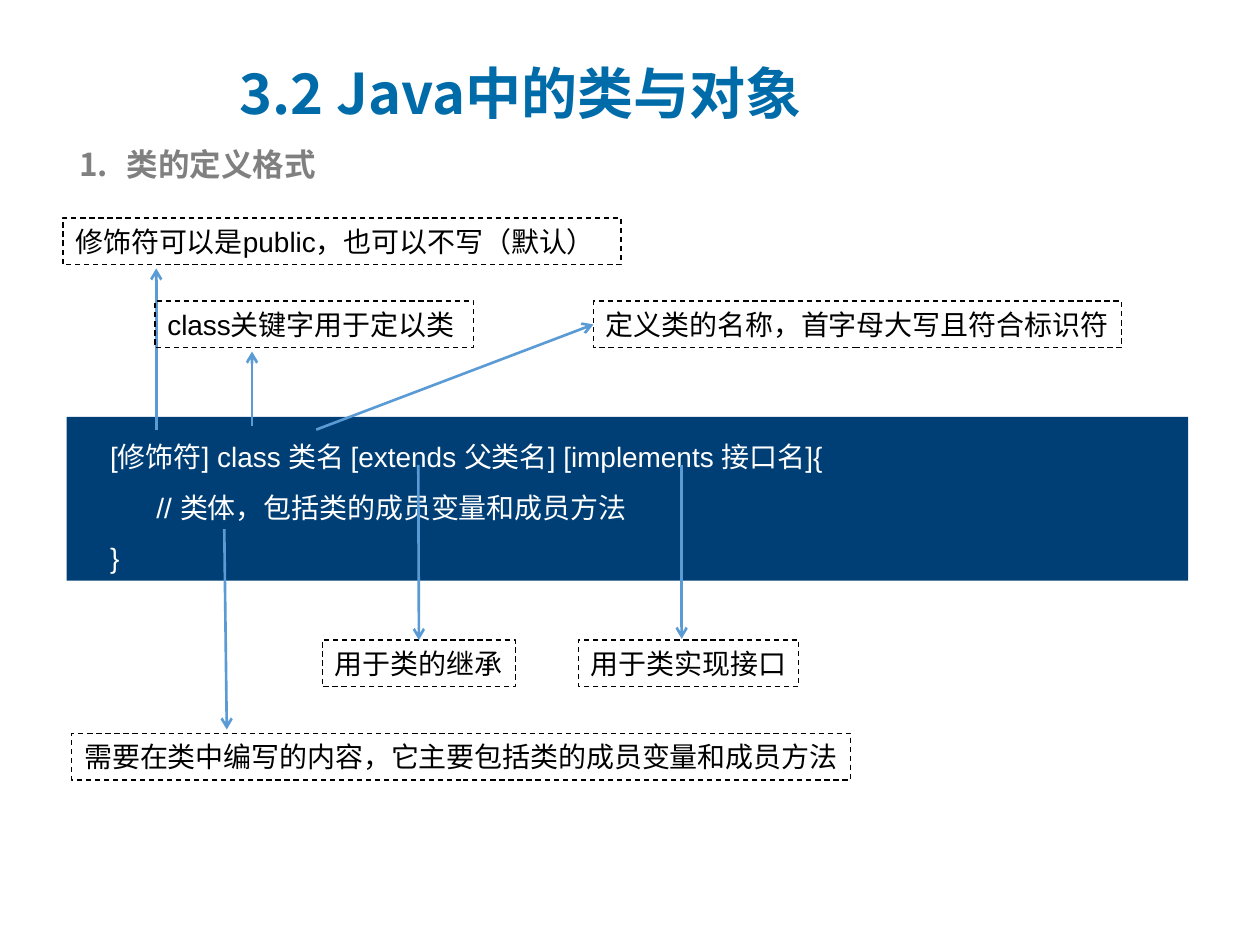
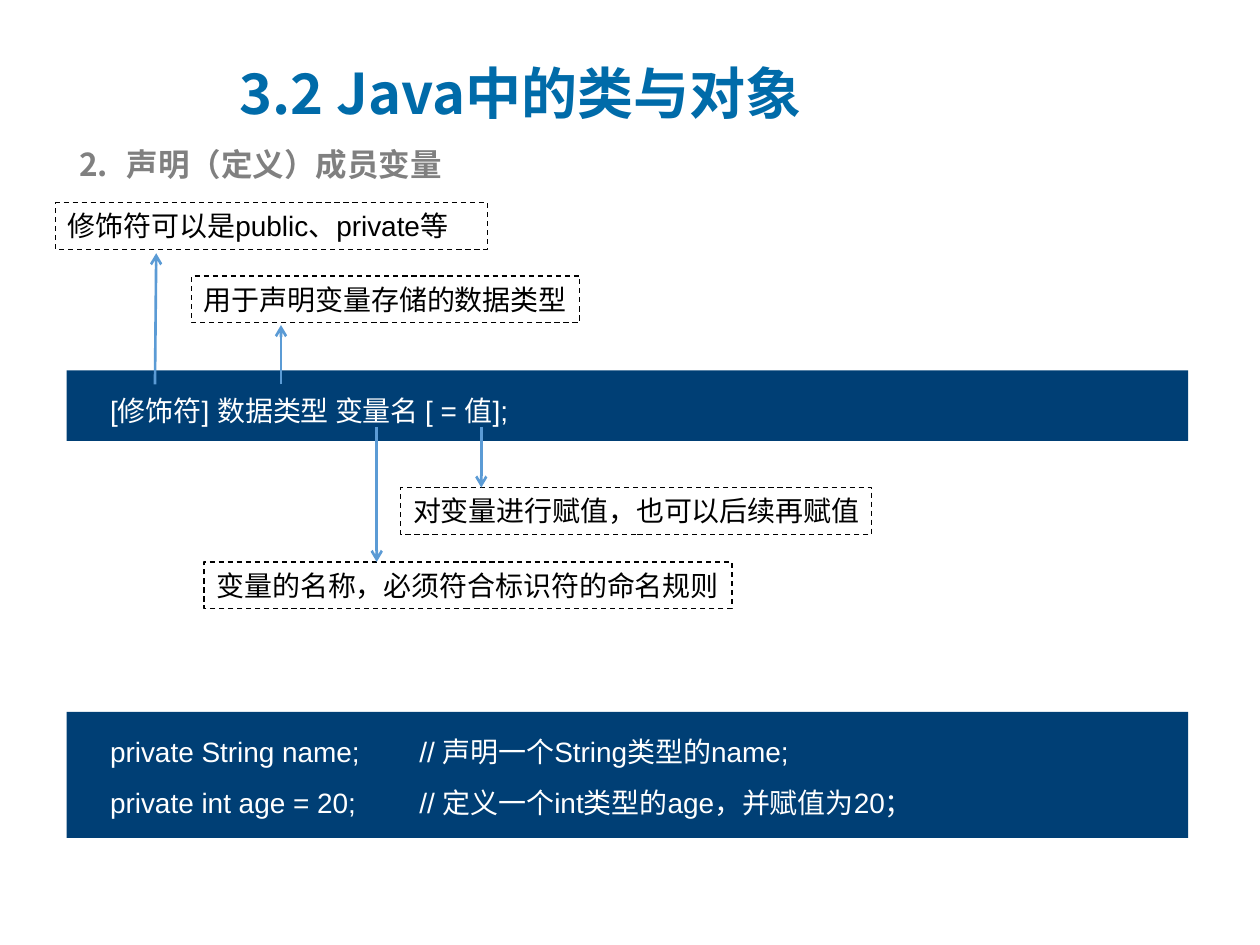
import pptx
import pptx.dml.color
import pptx.enum.dml
import pptx.enum.shapes
import pptx.enum.text
import pptx.oxml.ns
import pptx.util
from dataclasses import dataclass
from lxml import etree
from pptx.util import Inches

TOP, LEFT = 0, 1  # connection sites of a rectangle


@dataclass(frozen=True)
class Theme:
    title_color: str = "006BA9"
    heading_color: str = "808080"
    band_color: str = "003F75"
    code_color: str = "FFFFFF"
    note_color: str = "000000"
    arrow_color: str = "5B9BD5"
    heading_font: str = "Noto Sans CJK SC"
    body_font: str = "Arial"
    title_size: int = 32
    heading_size: int = 18
    body_size: int = 16


def rgb(color):
    return pptx.dml.color.RGBColor.from_string(color)


def add_xml(parent, tag, **attributes):
    return etree.SubElement(parent, pptx.oxml.ns.qn(tag), attributes)


def write_text(frame, text, *, font, size, color, bold=False, grow=False,
               anchor=pptx.enum.text.MSO_ANCHOR.TOP, right_margin=0.1,
               line_spacing=None, number=None, indent=0, tab=None):
    """Fill a text frame, one paragraph per line of text."""
    frame.word_wrap = True
    fit = pptx.enum.text.MSO_AUTO_SIZE
    frame.auto_size = fit.SHAPE_TO_FIT_TEXT if grow else fit.NONE
    frame.vertical_anchor = anchor
    frame.margin_right = Inches(right_margin)
    for index, line in enumerate(text.split("\n")):
        paragraph = frame.add_paragraph() if index else frame.paragraphs[0]
        paragraph.alignment = pptx.enum.text.PP_ALIGN.LEFT
        properties = paragraph._p.get_or_add_pPr()
        if number:
            properties.set("marL", str(Inches(indent)))
            properties.set("indent", str(-Inches(indent)))
            add_xml(add_xml(properties, "a:buClr"), "a:srgbClr", val=color)
            add_xml(properties, "a:buFont", typeface=font)
            add_xml(properties, "a:buAutoNum", type="arabicPeriod", startAt=str(number))
        if tab:
            add_xml(add_xml(properties, "a:tabLst"), "a:tab",
                    pos=str(Inches(tab)), algn="l")
        if line_spacing:
            paragraph.line_spacing = line_spacing
        run = paragraph.add_run()
        run.text = line
        run.font.name = font
        run.font.size = pptx.util.Pt(size)
        run.font.bold = bold
        run.font.color.rgb = rgb(color)
        add_xml(run._r.get_or_add_rPr(), "a:ea", typeface=Theme.heading_font)


class Deck:
    band_left, band_width = 0.53, 8.9
    note_height = 0.37

    def __init__(self, theme):
        self.theme = theme
        self.presentation = pptx.Presentation()
        self.presentation.slide_width = Inches(10)
        self.presentation.slide_height = Inches(7.5)
        self.slide = None

    def start_slide(self, title, number, heading):
        """Open a slide with its title and numbered heading."""
        theme = self.theme
        self.slide = self.presentation.slides.add_slide(
            self.presentation.slide_layouts.get_by_name("Title Only"))
        chapter = self.slide.shapes.title
        chapter.left, chapter.top = Inches(1.8), Inches(0.43)
        chapter.width, chapter.height = Inches(5.41), Inches(0.61)
        write_text(chapter.text_frame, title, font=theme.heading_font,
                   size=theme.title_size, color=theme.title_color, bold=True,
                   anchor=pptx.enum.text.MSO_ANCHOR.MIDDLE)
        section = self.slide.shapes.add_textbox(
            Inches(self.band_left), Inches(1.1), Inches(self.band_width), Inches(0.4))
        write_text(section.text_frame, heading, font=theme.heading_font,
                   size=theme.heading_size, color=theme.heading_color, bold=True,
                   grow=True, number=number, indent=0.38)

    def rectangle(self, left, top, width, height):
        shape = self.slide.shapes.add_shape(
            pptx.enum.shapes.MSO_SHAPE.RECTANGLE,
            Inches(left), Inches(top), Inches(width), Inches(height))
        shape.shadow.inherit = False
        return shape

    def code_band(self, code, top, height, tab=None):
        band = self.rectangle(self.band_left, top, self.band_width, height)
        band.fill.solid()
        band.fill.fore_color.rgb = rgb(self.theme.band_color)
        band.line.fill.background()
        write_text(band.text_frame, code, font=self.theme.body_font,
                   size=self.theme.body_size, color=self.theme.code_color,
                   line_spacing=1.5, tab=tab)

    def arrow(self, start, end):
        pointer = self.slide.shapes.add_connector(
            pptx.enum.shapes.MSO_CONNECTOR.STRAIGHT,
            *(Inches(value) for value in (*start, *end)))
        pointer.line.color.rgb = rgb(self.theme.arrow_color)
        pointer.line.width = pptx.util.Pt(1.5)
        add_xml(pointer.line._get_or_add_ln(), "a:tailEnd", type="arrow")
        add_xml(pointer._element.spPr, "a:effectLst")
        return pointer

    def callout(self, text, left, top, width, start, end, side=None):
        """Dashed note with an arrow from the code; side joins the arrow to the note."""
        note = self.rectangle(left, top, width, self.note_height)
        note.fill.background()
        note.line.color.rgb = rgb(self.theme.note_color)
        note.line.width = pptx.util.Pt(0.75)
        note.line.dash_style = pptx.enum.dml.MSO_LINE.DASH
        # The narrow right margin leaves room for the whole line
        write_text(note.text_frame, text, font=self.theme.body_font,
                   size=self.theme.body_size, color=self.theme.note_color,
                   right_margin=0.02)
        pointer = self.arrow(start, end)
        if side is not None:
            pointer.end_connect(note, side)


CHAPTER = "3.2 Java中的类与对象"

CLASS_CODE = """    [修饰符] class 类名 [extends 父类名] [implements 接口名]{
          // 类体，包括类的成员变量和成员方法
    }"""

# Note text, left, top, width, arrow start, arrow end, joined side
CLASS_NOTES = [
    ("修饰符可以是public，也可以不写（默认）", 0.5, 1.73, 4.43, (1.24, 3.41), (1.24, 2.13)),
    ("class关键字用于定以类", 1.23, 2.39, 2.53, (2, 3.38), (2, 2.79)),
    ("定义类的名称，首字母大写且符合标识符", 4.71, 2.39, 4.19, (2.51, 3.41), (4.71, 2.58), LEFT),
    ("用于类的继承", 2.56, 5.08, 1.53, (3.32, 3.69), (3.32, 5.08), TOP),
    ("用于类实现接口", 4.59, 5.08, 1.75, (5.41, 3.69), (5.41, 5.07)),
    ("需要在类中编写的内容，它主要包括类的成员变量和成员方法",
     0.57, 5.82, 6.18, (1.78, 4.2), (1.8, 5.79)),
]

FIELD_CODE = "    [修饰符] 数据类型 变量名 [ = 值];"

FIELD_NOTES = [
    ("修饰符可以是public、private等", 0.44, 1.61, 3.43, (1.23, 3.05), (1.24, 2.01)),
    ("用于声明变量存储的数据类型", 1.52, 2.19, 3.08, (2.23, 3.05), (2.23, 2.58)),
    ("变量的名称，必须符合标识符的命名规则", 1.62, 4.46, 4.19, (2.99, 3.39), (2.99, 4.46)),
    ("对变量进行赋值，也可以后续再赋值", 3.18, 3.87, 3.74, (3.82, 3.39), (3.82, 3.87)),
]

FIELD_EXAMPLE = """    private String name;\t// 声明一个String类型的name;
    private int age = 20;\t// 定义一个int类型的age，并赋值为20；"""


def main():
    deck = Deck(Theme())

    # Class definition
    deck.start_slide(CHAPTER, 1, "类的定义格式")
    deck.code_band(CLASS_CODE, top=3.31, height=1.3)
    for note in CLASS_NOTES:
        deck.callout(*note)

    # Member variables, with an example below
    deck.start_slide(CHAPTER, 2, "声明（定义）成员变量")
    deck.code_band(FIELD_CODE, top=2.94, height=0.56)
    for note in FIELD_NOTES:
        deck.callout(*note)
    deck.code_band(FIELD_EXAMPLE, top=5.65, height=1, tab=2.7)

    deck.presentation.save("out.pptx")


if __name__ == "__main__":
    main()
